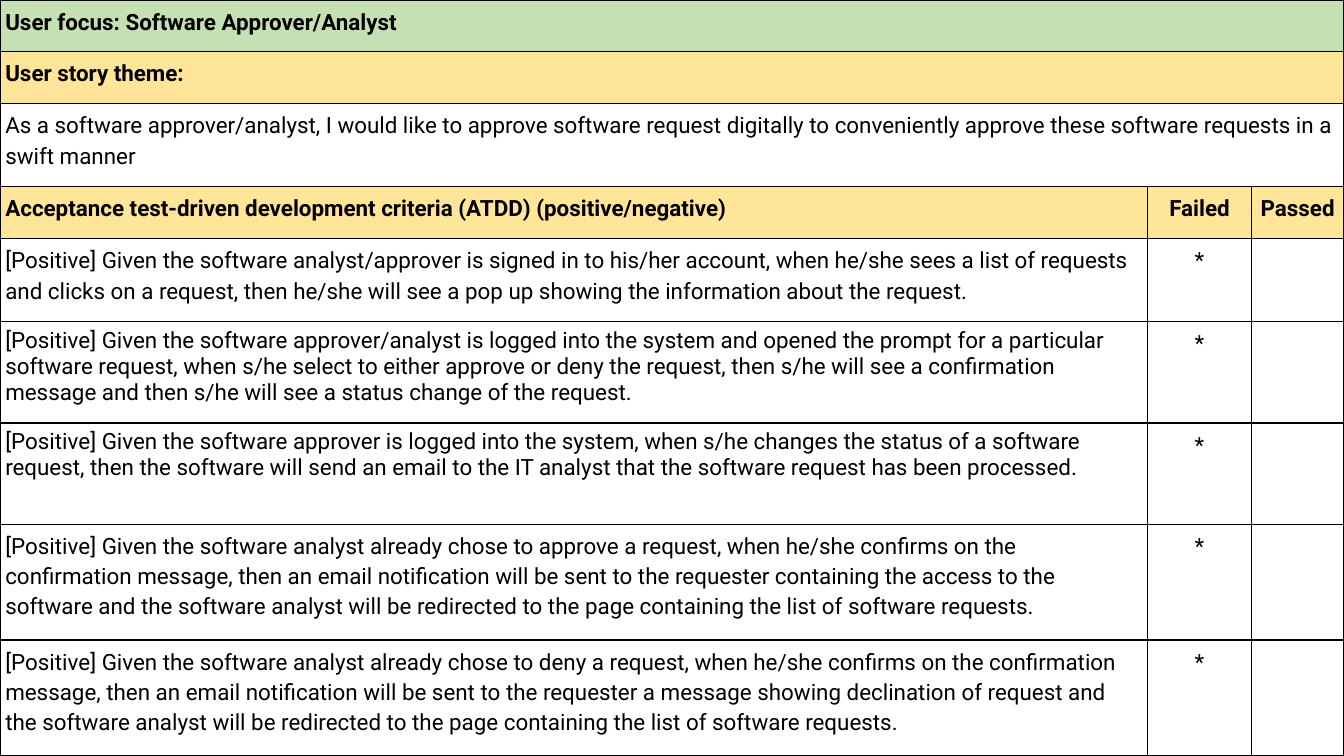
from lxml.etree import SubElement
from pptx import Presentation
from pptx.dml.color import RGBColor
from pptx.enum.text import PP_ALIGN
from pptx.oxml.ns import qn
from pptx.util import Cm, Pt

BLACK = RGBColor(0x00, 0x00, 0x00)
GREEN = RGBColor(0xC5, 0xE0, 0xB3)
YELLOW = RGBColor(0xFF, 0xE5, 0x99)

COLUMN_WIDTHS = [21.69, 1.96, 1.75]

# Each row: height in cm, fill, bold, loose line spacing, cell texts
# (a row with a single text spans all columns)
ROWS = [
    (0.98, GREEN, True, True, ["User focus: Software Approver/Analyst"]),
    (0.98, YELLOW, True, True, ["User story theme:"]),
    (1.57, None, False, True, [
        "As a software approver/analyst, I would like to approve software request "
        "digitally to conveniently approve these software requests in a swift manner"]),
    (0.98, YELLOW, True, True, [
        "Acceptance test-driven development criteria (ATDD) (positive/negative)",
        "Failed", "Passed"]),
    (1.57, None, False, True, [
        "[Positive] Given the software analyst/approver is signed in to his/her account, "
        "when he/she sees a list of requests and clicks on a request, then he/she will "
        "see a pop up showing the information about the request.", "*", ""]),
    (1.91, None, False, False, [
        "[Positive] Given the software approver/analyst is logged into the system and "
        "opened the prompt for a particular software request, when s/he select to either "
        "approve or deny the request, then s/he will see a confirmation message and then "
        "s/he will see a status change of the request.", "*", ""]),
    (1.91, None, False, False, [
        "[Positive] Given the software approver is logged into the system, when s/he "
        "changes the status of a software request, then the software will send an email "
        "to the IT analyst that the software request has been processed.", "*", ""]),
    (2.19, None, False, True, [
        "[Positive] Given the software analyst already chose to approve a request, when "
        "he/she confirms on the confirmation message, then an email notification will be "
        "sent to the requester containing the access to the software and the software "
        "analyst will be redirected to the page containing the list of software requests.",
        "*", ""]),
    (2.19, None, False, True, [
        "[Positive] Given the software analyst already chose to deny a request, when "
        "he/she confirms on the confirmation message, then an email notification will be "
        "sent to the requester a message showing declination of request and the software "
        "analyst will be redirected to the page containing the list of software requests.",
        "*", ""]),
]


def add_borders(cell):
    properties = cell._tc.get_or_add_tcPr()
    for side in ("a:lnL", "a:lnR", "a:lnT", "a:lnB"):
        line = SubElement(properties, qn(side), w=str(Pt(0.75)))
        fill = SubElement(line, qn("a:solidFill"))
        SubElement(fill, qn("a:srgbClr"), val=str(BLACK))


presentation = Presentation()
presentation.slide_width = Cm(25.4)
presentation.slide_height = Cm(14.28)
slide = presentation.slides.add_slide(presentation.slide_layouts[6])

# Table grid
total_height = sum(row[0] for row in ROWS)
table = slide.shapes.add_table(
    len(ROWS), len(COLUMN_WIDTHS), 0, 0, Cm(sum(COLUMN_WIDTHS)), Cm(total_height)
).table
table.first_row = False
table.horz_banding = False
for column, width in zip(table.columns, COLUMN_WIDTHS):
    column.width = Cm(width)

# Cells
for row_index, (height, color, bold, loose, texts) in enumerate(ROWS):
    table.rows[row_index].height = Cm(height)
    if len(texts) == 1:
        table.cell(row_index, 0).merge(table.cell(row_index, len(COLUMN_WIDTHS) - 1))

    for column_index, cell in enumerate(table.rows[row_index].cells):
        add_borders(cell)
        if color is None:
            cell.fill.background()
        else:
            cell.fill.solid()
            cell.fill.fore_color.rgb = color
        cell.margin_left = cell.margin_right = Cm(0.1)
        cell.margin_top = cell.margin_bottom = Cm(0.1)
        if cell.is_spanned or not texts[column_index]:
            continue

        cell.text_frame.text = texts[column_index]
        paragraph = cell.text_frame.paragraphs[0]
        if column_index > 0:
            paragraph.alignment = PP_ALIGN.CENTER
        if loose or column_index > 0:
            paragraph.line_spacing = 1.15
            paragraph.space_after = Pt(2)
        font = paragraph.runs[0].font
        font.name = "Roboto"
        font.size = Pt(12)
        font.bold = bold
        font.color.rgb = BLACK

presentation.save("out.pptx")
